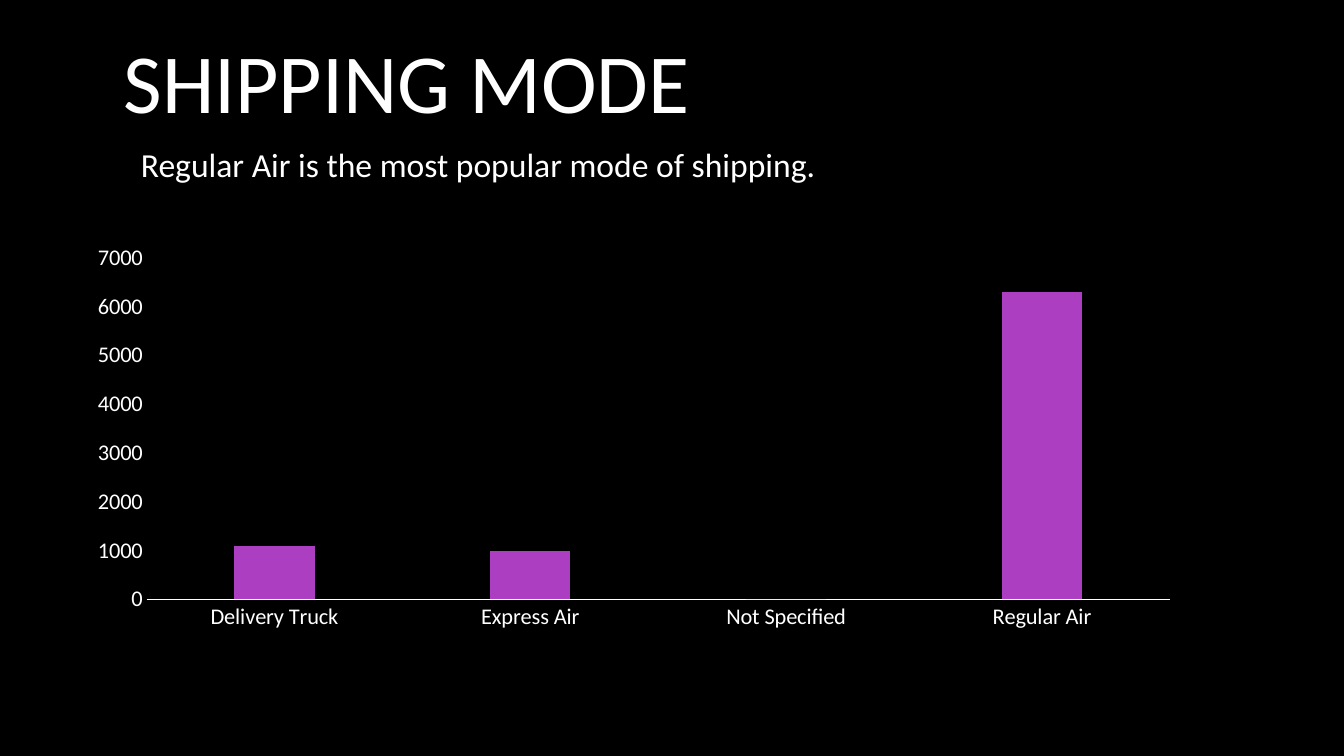
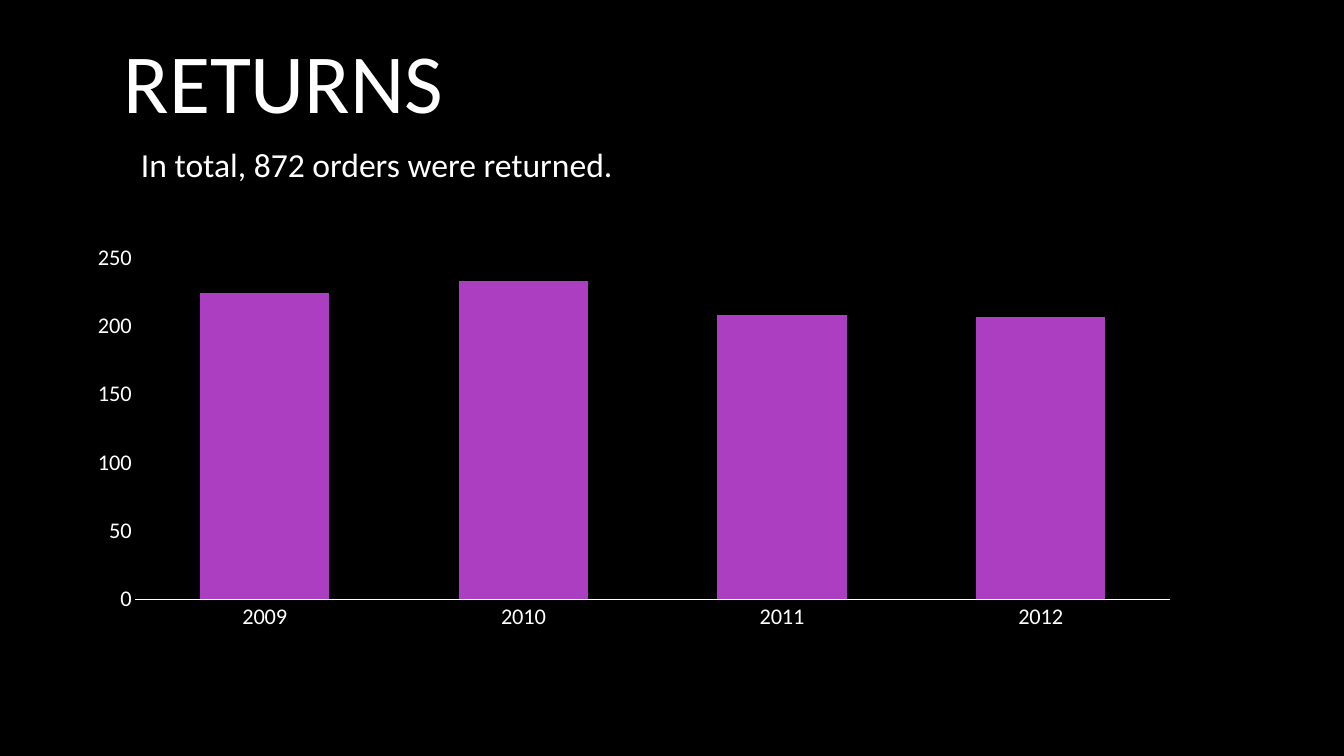
from dataclasses import dataclass

from pptx import Presentation
from pptx.chart.data import CategoryChartData
from pptx.dml.color import RGBColor
from pptx.enum.chart import XL_CHART_TYPE, XL_TICK_MARK
from pptx.enum.text import MSO_ANCHOR, PP_ALIGN
from pptx.util import Pt

COLUMNS = XL_CHART_TYPE.COLUMN_CLUSTERED
NO_TICKS = XL_TICK_MARK.NONE
LEFT, MIDDLE = PP_ALIGN.LEFT, MSO_ANCHOR.MIDDLE
TITLE_ONLY = 5


@dataclass(frozen=True)
class Theme:
    font: str = "Calibri"
    background: RGBColor = RGBColor(0x00, 0x00, 0x00)
    text: RGBColor = RGBColor(0xFF, 0xFF, 0xFF)
    column: RGBColor = RGBColor(0xAC, 0x3E, 0xC1)
    title_size: int = 60
    message_size: int = 24
    axis_size: int = 16


THEME = Theme()

# Regions in points: left, top, width, height
TITLE_BOX = (81, 0, 798, 114.5)
MESSAGE_BOX = (93.6, 99.4, 772.5, 36)
CHART_BOX = (54, 168.8, 797.6, 287.5)

SLIDES = [
    dict(
        title="SHIPPING MODE",
        message="Regular Air is the most popular mode of shipping.",
        categories=["Delivery Truck", "Express Air", "Not Specified", "Regular Air"],
        values=[1100, 1000, 0, 6300],
        axis_max=7000, axis_step=1000, gap=219,
    ),
    dict(
        title="RETURNS",
        message="In total, 872 orders were returned.",
        categories=["2009", "2010", "2011", "2012"],
        values=[224, 233, 208, 207],
        axis_max=250, axis_step=50, gap=100,
    ),
]


def style_font(font, size):
    font.name = THEME.font
    font.size = Pt(size)
    font.color.rgb = THEME.text


def write_line(frame, text, size):
    frame.word_wrap = True
    frame.text = text
    para = frame.paragraphs[0]
    para.alignment = LEFT
    style_font(para.runs[0].font, size)


def add_title(page, box, text):
    title = page.shapes.title
    title.left, title.top, title.width, title.height = map(Pt, box)
    title.text_frame.vertical_anchor = MIDDLE
    write_line(title.text_frame, text, THEME.title_size)


def add_message(page, box, text):
    message = page.shapes.add_textbox(*map(Pt, box))
    write_line(message.text_frame, text, THEME.message_size)


def add_column_chart(page, box, categories, values, axis_max, axis_step, gap):
    data = CategoryChartData()
    data.categories = categories
    data.add_series("Series 1", values)
    chart = page.shapes.add_chart(COLUMNS, *map(Pt, box), data).chart
    chart.has_title = False
    chart.has_legend = False
    style_font(chart.font, THEME.axis_size)

    # Columns
    plot = chart.plots[0]
    plot.vary_by_categories = False
    plot.gap_width = gap
    plot.overlap = -27
    fill = plot.series[0].format.fill
    fill.solid()
    fill.fore_color.rgb = THEME.column

    # Axes
    for axis in (chart.category_axis, chart.value_axis):
        axis.has_major_gridlines = False
        axis.major_tick_mark = NO_TICKS
        axis.minor_tick_mark = NO_TICKS
        style_font(axis.tick_labels.font, THEME.axis_size)
    baseline = chart.category_axis.format.line
    baseline.color.rgb = THEME.text
    baseline.width = Pt(0.75)
    scale = chart.value_axis
    scale.format.line.fill.background()
    scale.minimum_scale = 0
    scale.maximum_scale = axis_max
    scale.major_unit = axis_step


def add_chart_slide(deck, title, message, **chart):
    page = deck.slides.add_slide(deck.slide_layouts[TITLE_ONLY])
    add_title(page, TITLE_BOX, title)
    add_column_chart(page, CHART_BOX, **chart)
    add_message(page, MESSAGE_BOX, message)


def main():
    deck = Presentation()
    deck.slide_width, deck.slide_height = Pt(960), Pt(540)

    # Shared background
    backdrop = deck.slide_master.background.fill
    backdrop.solid()
    backdrop.fore_color.rgb = THEME.background

    for content in SLIDES:
        add_chart_slide(deck, **content)
    deck.save("out.pptx")


if __name__ == "__main__":
    main()
